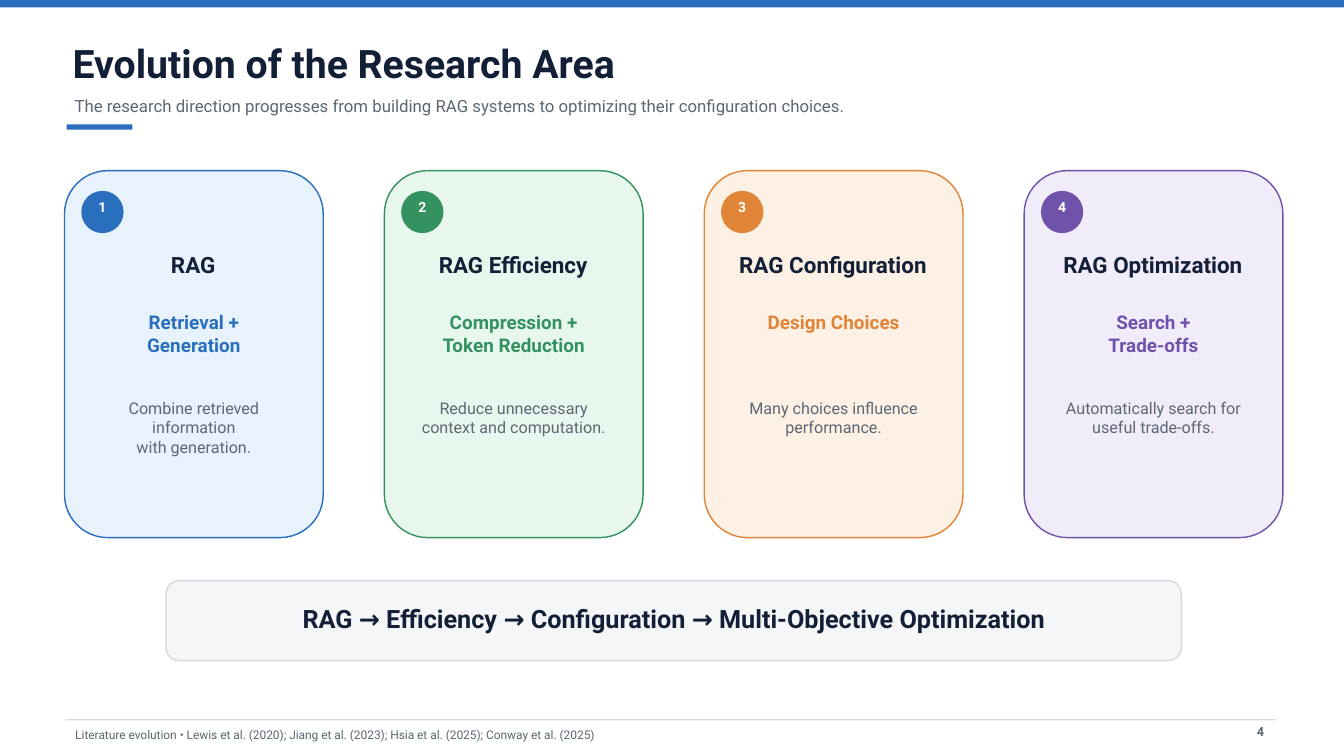
from pptx import Presentation
from pptx.dml.color import RGBColor
from pptx.enum.shapes import MSO_SHAPE as Shape
from pptx.enum.text import MSO_AUTO_SIZE as Fit, PP_ALIGN as Align
from pptx.util import Inches, Pt

FONT = "Roboto"
WHITE = RGBColor(0xFF, 0xFF, 0xFF)
NAVY = RGBColor(0x12, 0x1F, 0x36)
GRAY = RGBColor(0x5C, 0x67, 0x74)
RULE = RGBColor(0xD5, 0xDA, 0xE0)
PANEL = RGBColor(0xF4, 0xF6, 0xF8)
BLUE = RGBColor(0x2A, 0x6F, 0xBE)
SKY = RGBColor(0xE8, 0xF2, 0xFD)
GREEN = RGBColor(0x34, 0x91, 0x60)
MINT = RGBColor(0xE8, 0xF7, 0xEE)
ORANGE = RGBColor(0xE0, 0x84, 0x37)
CREAM = RGBColor(0xFD, 0xF1, 0xE5)
PURPLE = RGBColor(0x70, 0x52, 0xAB)
LILAC = RGBColor(0xF1, 0xEC, 0xFA)

# Content
TITLE = "Evolution of the Research Area"
LEAD = ("The research direction progresses from building RAG systems "
        "to optimizing their configuration choices.")
STAGES = [
    ("RAG", ["Retrieval +", "Generation"],
     ["Combine retrieved information", "with generation."], BLUE, SKY),
    ("RAG Efficiency", ["Compression +", "Token Reduction"],
     ["Reduce unnecessary", "context and computation."], GREEN, MINT),
    ("RAG Configuration", ["Design Choices"],
     ["Many choices influence", "performance."], ORANGE, CREAM),
    ("RAG Optimization", ["Search +", "Trade-offs"],
     ["Automatically search for", "useful trade-offs."], PURPLE, LILAC),
]
PATH = "RAG → Efficiency → Configuration → Multi-Objective Optimization"
SOURCE = ("Literature evolution • Lewis et al. (2020); Jiang et al. (2023); "
          "Hsia et al. (2025); Conway et al. (2025)")
PAGE = "4"

# Card row
LEFT, TOP, STEP = 0.96, 2.54, 4.76
WIDE, HIGH = 3.85, 5.46

# Text styles
STYLES = {
    "title": dict(size=42, bold=True, color=NAVY, align=Align.LEFT),
    "lead": dict(size=18, bold=False, color=GRAY, align=Align.LEFT),
    "badge": dict(size=15, bold=True, color=WHITE, align=Align.CENTER),
    "head": dict(size=24, bold=True, color=NAVY, align=Align.CENTER),
    "theme": dict(size=20.25, bold=True, color=NAVY, align=Align.CENTER),
    "note": dict(size=17.25, bold=False, color=GRAY, align=Align.CENTER),
    "path": dict(size=27, bold=True, color=NAVY, align=Align.CENTER),
    "source": dict(size=12.75, bold=False, color=GRAY, align=Align.LEFT),
    "page": dict(size=13.5, bold=True, color=GRAY, align=Align.RIGHT),
}


def add_block(slide, kind, box, fill, line=None):
    shape = slide.shapes.add_shape(kind, *map(Inches, box))
    shape.shadow.inherit = False
    shape.fill.solid()
    shape.fill.fore_color.rgb = fill
    if line is None:
        shape.line.fill.background()
    else:
        shape.line.color.rgb = line
        shape.line.width = Pt(1.5)


def add_text(slide, box, lines, name, color=None):
    style = STYLES[name]
    frame = slide.shapes.add_textbox(*map(Inches, box)).text_frame
    frame_format = dict(word_wrap=True, auto_size=Fit.SHAPE_TO_FIT_TEXT,
                        margin_left=0, margin_right=0,
                        margin_top=0, margin_bottom=0)
    for key, value in frame_format.items():
        setattr(frame, key, value)
    for i, line in enumerate(lines):
        para = frame.add_paragraph() if i else frame.paragraphs[0]
        para.alignment = style["align"]
        para.line_spacing = Pt(style["size"] * 1.2)
        run = para.add_run()
        run.text = line
        font_format = dict(name=FONT, size=Pt(style["size"]), bold=style["bold"])
        for key, value in font_format.items():
            setattr(run.font, key, value)
        run.font.color.rgb = color or style["color"]


def add_card(slide, index, stage):
    head, theme, note, color, tint = stage
    x = LEFT + index * STEP
    add_block(slide, Shape.ROUNDED_RECTANGLE, (x, TOP, WIDE, HIGH), tint, color)
    add_block(slide, Shape.OVAL, (x + 0.25, TOP + 0.3, 0.63, 0.63), color)
    add_text(slide, (x + 0.35, 2.96, 0.43, 0.23), [str(index + 1)], "badge")
    add_text(slide, (x + 0.35, 3.73, 3.13, 0.58), [head], "head")
    add_text(slide, (x + 0.41, 4.63, 3.03, 0.83), theme, "theme", color)
    add_text(slide, (x + 0.41, 5.93, 3.03, 0.95), note, "note")


def main():
    deck = Presentation()
    deck.slide_width, deck.slide_height = Inches(20), Inches(11.25)
    slide = deck.slides.add_slide(deck.slide_layouts[6])

    # Header
    add_block(slide, Shape.RECTANGLE, (0, 0, 20, 0.11), BLUE)
    add_block(slide, Shape.ROUNDED_RECTANGLE, (0.99, 1.85, 0.98, 0.08), BLUE)
    add_text(slide, (1.08, 0.58, 17.81, 0.73), [TITLE], "title")
    add_text(slide, (1.11, 1.42, 17.51, 0.43), [LEAD], "lead")

    # Stage cards
    for index, stage in enumerate(STAGES):
        add_card(slide, index, stage)

    # Summary bar
    add_block(slide, Shape.ROUNDED_RECTANGLE, (2.47, 8.64, 15.11, 1.19), PANEL, RULE)
    add_text(slide, (2.88, 8.98, 14.29, 0.47), [PATH], "path")

    # Footer
    add_block(slide, Shape.RECTANGLE, (0.98, 10.7, 18.01, 0.02), RULE)
    add_text(slide, (1.12, 10.82, 14.06, 0.21), [SOURCE], "source")
    add_text(slide, (17.96, 10.77, 0.85, 0.24), [PAGE], "page")

    deck.save("out.pptx")


if __name__ == "__main__":
    main()
